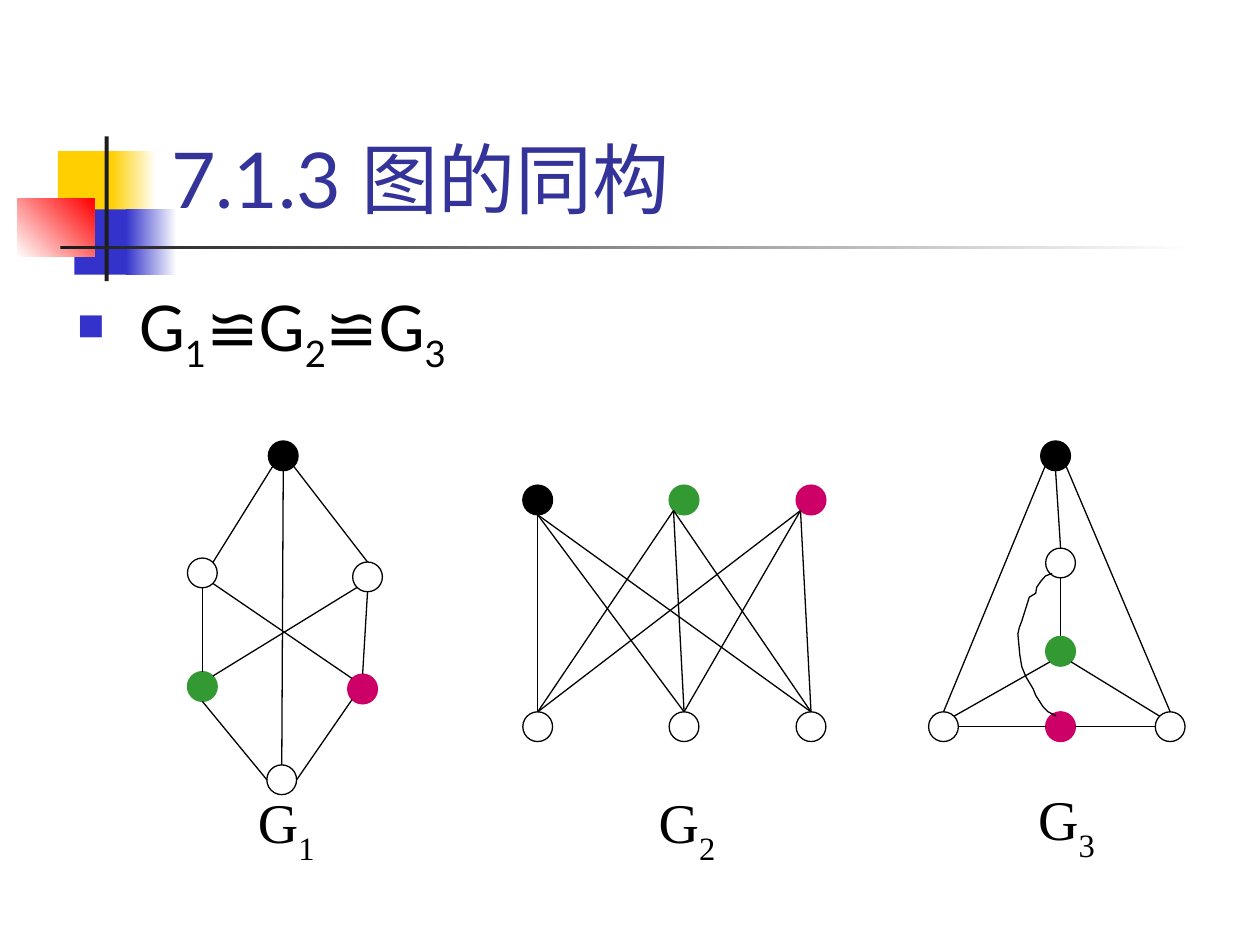
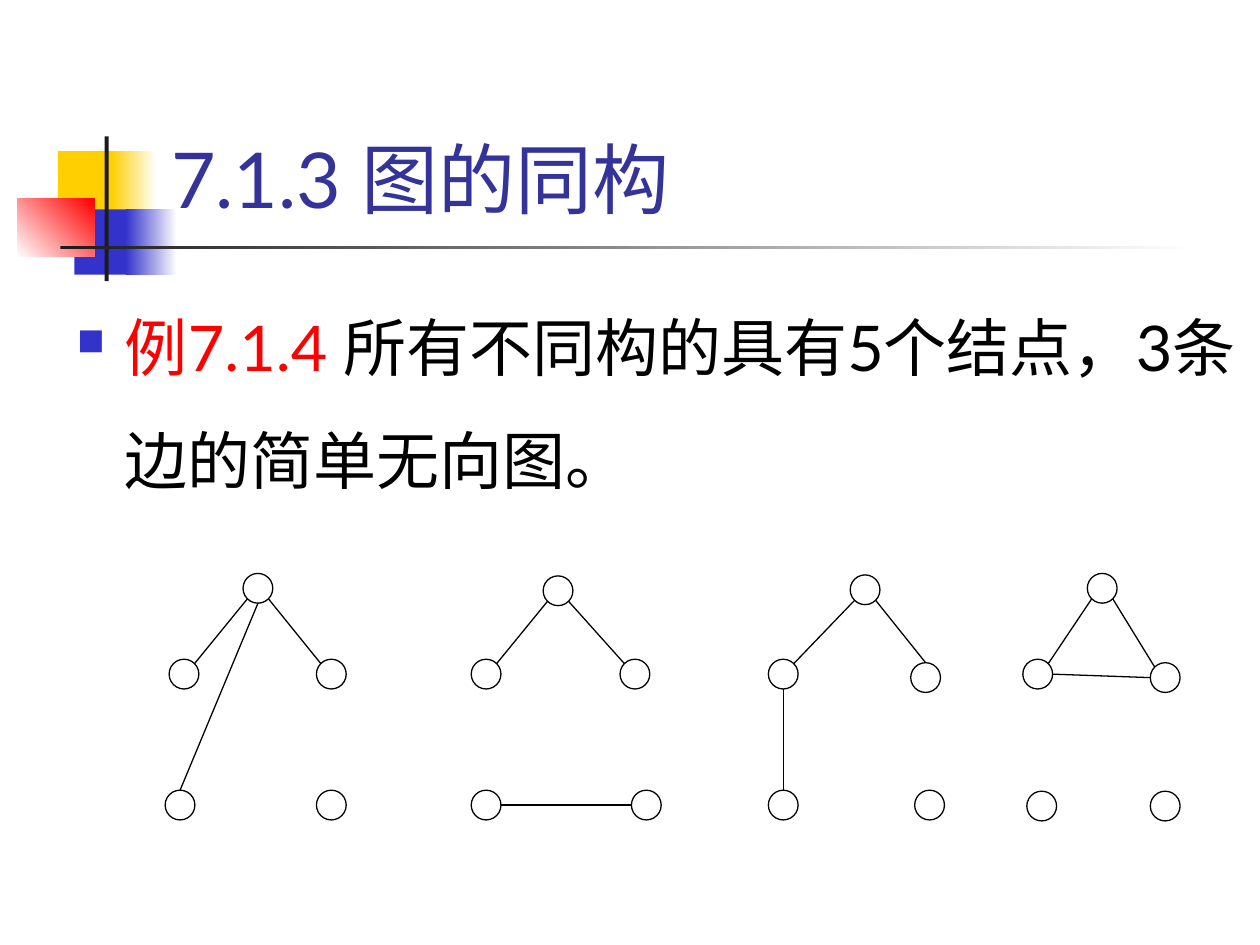
from dataclasses import dataclass
from itertools import product
from math import sqrt

from lxml import etree
from pptx import Presentation
from pptx.dml import color as dml
from pptx.enum import shapes as sh, text as tx
from pptx.oxml import ns
from pptx.util import Cm, Pt


@dataclass(frozen=True)
class Theme:
    font: str = "Lato"
    serif: str = "Times New Roman"
    head: int = 44
    body: int = 36
    label: int = 32
    thin: float = 0.75
    node: float = 0.6
    title: str = "333399"
    black: str = "000000"
    white: str = "FFFFFF"
    dark: str = "1C1C1C"
    gold: str = "FFCF01"
    blue: str = "3333CC"
    red: str = "FF0000"
    green: str = "339933"
    pink: str = "CC0066"


T = Theme()

# Points on a node's rim, as offsets from its centre in radii
D = 1 / sqrt(2)
RIM = {"n": (0, -1), "ne": (D, -D), "e": (1, 0), "se": (D, D),
       "s": (0, 1), "sw": (-D, D), "w": (-1, 0), "nw": (-D, -D)}


def rgb(code):
    return dml.RGBColor.from_string(code)


def add_run(para, words, size, tone, font=T.font, base=0):
    run = para.add_run()
    run.text = words
    run.font.size, run.font.name = Pt(size), font
    run.font.color.rgb = rgb(tone)
    if base:
        run._r.get_or_add_rPr().set("baseline", str(base * 1000))


def add_text(slide, box, anchor=tx.MSO_ANCHOR.TOP):
    """Add a wrapping text box and give it with its first paragraph."""
    item = slide.shapes.add_textbox(*map(Cm, box))
    frame = item.text_frame
    frame.word_wrap = True
    frame.vertical_anchor = anchor
    return item, frame.paragraphs[0]


def add_form(slide, kind, box, fill, line=None):
    """Add a preset shape; a pair of colours makes a gradient."""
    item = slide.shapes.add_shape(kind, *map(Cm, box))
    item.shadow.inherit = False
    if isinstance(fill, tuple):
        item.fill.gradient()
        for stop, tone in zip(item.fill.gradient_stops, fill):
            stop.color.rgb = rgb(tone)
        item.fill.gradient_angle = 0
    else:
        item.fill.solid()
        item.fill.fore_color.rgb = rgb(fill)
    if line:
        item.line.color.rgb = rgb(line)
        item.line.width = Pt(T.thin)
    else:
        item.line.fill.background()
    return item


def add_title(slide, words):
    # Colour blocks and rules beside the title
    rect = sh.MSO_SHAPE.RECTANGLE
    add_form(slide, rect, (1.17, 3.05, 1.22, 1.32), T.gold)
    add_form(slide, rect, (2.24, 3.05, 0.91, 1.32), (T.gold, T.white))
    add_form(slide, rect, (1.5, 4.22, 1.17, 1.32), T.blue)
    add_form(slide, rect, (2.54, 4.22, 1.02, 1.32), (T.blue, T.white))
    glow = add_form(slide, rect, (0.35, 4.01, 1.55, 1.17), (T.white, T.red))
    glow.fill.gradient_angle = 45
    add_form(slide, rect, (2.11, 2.75, 0.08, 2.92), T.dark)
    add_form(slide, rect, (1.22, 4.95, 22.86, 0.08), (T.dark, T.white))
    # Title
    _, para = add_text(slide, (3.2, 0.58, 21.64, 4.06), tx.MSO_ANCHOR.BOTTOM)
    add_run(para, words, T.head, T.title)


def add_bullet(slide, top, runs, indent=0.97, space=None):
    """Add the bulleted statement; each run is (words, colour, baseline)."""
    _, para = add_text(slide, (1.3, top, 24.1, 13.36))
    if space:
        para.line_spacing = space
    props = para._p.get_or_add_pPr()
    props.set("marL", str(Cm(indent)))
    props.set("indent", str(-Cm(indent)))
    tint = etree.SubElement(props, ns.qn("a:buClr"))
    etree.SubElement(tint, ns.qn("a:srgbClr"), val=T.blue)
    etree.SubElement(props, ns.qn("a:buSzPct"), val="60000")
    etree.SubElement(props, ns.qn("a:buChar"), char="■")
    for words, tone, base in runs:
        add_run(para, words, T.body, tone, base=base)


def add_label(slide, left, top, index):
    item, para = add_text(slide, (left, top, 2, 1.75))
    item.fill.solid()
    item.fill.fore_color.rgb = rgb(T.white)
    add_run(para, "G", T.label, T.black, T.serif)
    add_run(para, index, T.label, T.black, T.serif, -30)


def add_edge(slide, start, end):
    edge = slide.shapes.add_connector(
        sh.MSO_CONNECTOR.STRAIGHT, *map(Cm, start + end))
    edge.line.color.rgb = rgb(T.black)
    edge.line.width = Pt(T.thin)
    etree.SubElement(edge._element.spPr, ns.qn("a:effectLst"))


def add_graph(slide, left, top, nodes, edges):
    """Draw nodes {name: (x, y[, colour])} and edges like "a.s-b.n"."""
    for x, y, *tone in nodes.values():
        fill = tone[0] if tone else T.white
        add_form(slide, sh.MSO_SHAPE.OVAL,
                 (left + x, top + y, T.node, T.node),
                 fill, tone[0] if tone else T.black)

    def rim(end):
        name, side = end.split(".")
        half = T.node / 2
        return tuple(base + spot + half * (1 + shift) for base, spot, shift
                     in zip((left, top), nodes[name], RIM[side]))

    for edge in edges:
        add_edge(slide, *map(rim, edge.split("-")))


def add_curve(slide, left, top, points):
    spots = [(Cm(left + x), Cm(top + y)) for x, y in points]
    form = slide.shapes.build_freeform(*spots[0])
    form.add_line_segments(spots[1:], close=False)
    item = form.convert_to_shape()
    item.shadow.inherit = False
    item.fill.background()
    item.line.color.rgb = rgb(T.black)
    item.line.width = Pt(T.thin)


def draw_hexagon(slide, left, top):
    add_label(slide, left + 1.17, top + 6.86, "1")
    nodes = {"a": (1.63, 0, T.black), "b": (0, 2.36), "c": (3.33, 2.44),
             "d": (0, 4.65, T.green), "e": (3.23, 4.7, T.pink),
             "f": (1.6, 6.53)}
    edges = ("a.sw-b.ne a.se-c.n b.s-d.n c.s-e.n d.s-f.w e.sw-f.e "
             "a.s-f.n b.se-e.nw c.sw-d.ne").split()
    add_graph(slide, left, top, nodes, edges)


def draw_rows(slide, left, top):
    add_label(slide, left + 2.49, top + 5.97, "2")
    nodes = {}
    for x, tone, up, low in zip((0, 2.95, 5.51), (T.black, T.green, T.pink),
                                "abc", "xyz"):
        nodes[up], nodes[low] = (x, 0, tone), (x, 4.57)
    edges = [f"{up}-{low}.n" for up, low in
             product(("a.s", "b.sw", "c.sw"), "xyz")]
    add_graph(slide, left, top, nodes, edges)


def draw_cone(slide, left, top):
    add_label(slide, left + 1.96, top + 6.81, "3")
    nodes = {"a": (2.26, 0, T.black), "b": (2.36, 2.16),
             "c": (2.36, 3.94, T.green), "d": (0, 5.46), "e": (4.57, 5.46),
             "f": (2.36, 5.46, T.pink)}
    edges = ("a.sw-d.n a.se-e.n a.s-b.n b.s-c.n c.sw-d.ne c.se-e.nw "
             "d.e-f.w f.e-e.w").split()
    add_graph(slide, left, top, nodes, edges)
    # Bent edge around the green node
    add_curve(slide, left, top, [
        (2.49, 2.67), (2.36, 2.72), (2.27, 2.82), (2.18, 2.95), (2.16, 3.07),
        (2.03, 3.15), (1.88, 3.63), (1.83, 3.76), (1.8, 3.89), (1.84, 4.32),
        (1.88, 4.55), (1.96, 4.75), (2.11, 5), (2.16, 5.13), (2.31, 5.36),
        (2.41, 5.46), (2.57, 5.54)])


def same_slide(slide):
    add_title(slide, "7.1.3 图的同构")
    parts = [("G", 0), ("1", -25), ("≌G", 0), ("2", -25), ("≌G", 0), ("3", -25)]
    add_bullet(slide, 5.69, [(word, T.black, base) for word, base in parts],
               indent=1.25)
    draw_hexagon(slide, 3.78, 8.89)
    draw_rows(slide, 10.54, 9.78)
    draw_cone(slide, 18.72, 8.89)


def case_slide(slide):
    add_title(slide, "7.1.3 图的同构")
    add_bullet(slide, 5.33, [
        ("例7.1.4 ", T.red, 0),
        ("所有不同构的具有5个结点，3条边的简单无向图。", T.black, 0)], space=1.5)
    # Four graphs: left edge, node places, edges
    cases = [
        (3.33, [(1.57, 0), (0.08, 1.73), (3.05, 1.73), (0, 4.37), (3.05, 4.37)],
         "a.sw-b.ne a.se-c.nw a.s-d.n"),
        (9.5, [(1.45, 0.05), (0, 1.73), (3, 1.73), (0, 4.37), (3.23, 4.37)],
         "a.sw-b.ne a.se-c.nw d.e-e.w"),
        (15.49, [(1.65, 0.03), (0, 1.73), (2.87, 1.8), (0, 4.37), (2.95, 4.37)],
         "a.sw-b.ne a.se-c.n b.s-d.n"),
        (20.62, [(1.3, 0), (0, 1.73), (2.57, 1.8), (0.08, 4.39), (2.57, 4.39)],
         "a.sw-b.ne a.se-c.nw b.e-c.w"),
    ]
    for left, spots, edges in cases:
        add_graph(slide, left, 11.56, dict(zip("abcde", spots)), edges.split())


def main():
    deck = Presentation()
    deck.slide_width, deck.slide_height = Cm(25.4), Cm(19.05)
    for build in (same_slide, case_slide):
        build(deck.slides.add_slide(deck.slide_layouts[6]))
    deck.save("out.pptx")


if __name__ == "__main__":
    main()
